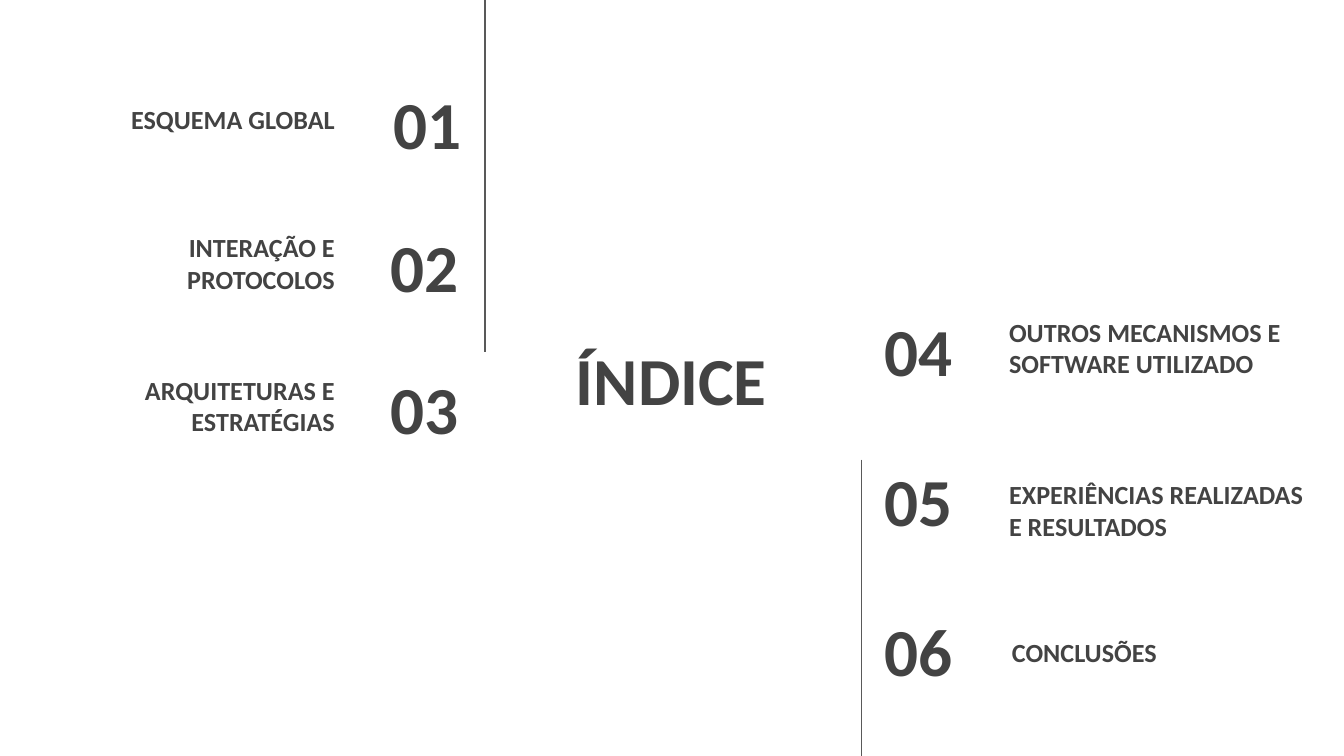
from lxml.etree import SubElement
from pptx import Presentation
from pptx.dml.color import RGBColor
from pptx.enum.shapes import MSO_CONNECTOR
from pptx.enum.text import MSO_ANCHOR, PP_ALIGN
from pptx.oxml.ns import qn
from pptx.util import Pt

WIDTH, HEIGHT = 720, 405


def color(hex_value):
    return RGBColor.from_string(hex_value)


class IndexSlide:
    text_color = "434343"
    line_color = "595959"
    font_format = {"name": "Calibri", "bold": True}
    margin = 7.2

    def __init__(self, presentation):
        self.slide = presentation.slides.add_slide(presentation.slide_layouts[6])
        fill = self.slide.background.fill
        fill.solid()
        fill.fore_color.rgb = color("FFFFFF")

    def text(self, content, box, size, align, anchor):
        shape = self.slide.shapes.add_textbox(*map(Pt, box))
        frame = shape.text_frame
        frame_format = {"word_wrap": True, "vertical_anchor": anchor}
        for side in ("left", "top", "right", "bottom"):
            frame_format[f"margin_{side}"] = Pt(self.margin)
        for name, value in frame_format.items():
            setattr(frame, name, value)
        paragraph = frame.paragraphs[0]
        paragraph.alignment = align
        run = paragraph.add_run()
        run.text = content
        for name, value in {**self.font_format, "size": Pt(size)}.items():
            setattr(run.font, name, value)
        run.font.color.rgb = color(self.text_color)

    def heading(self, content, box, align):
        self.text(content, box, 36, align, MSO_ANCHOR.MIDDLE)

    def label(self, content, box, align):
        self.text(content, box, 14, align, MSO_ANCHOR.BOTTOM)

    def vertical_line(self, x, top, bottom):
        connector = self.slide.shapes.add_connector(
            MSO_CONNECTOR.STRAIGHT, Pt(x), Pt(top), Pt(x), Pt(bottom))
        connector.line.width = Pt(0.75)
        connector.line.color.rgb = color(self.line_color)
        SubElement(connector._element.spPr, qn("a:effectLst"))


def main():
    presentation = Presentation()
    presentation.slide_width, presentation.slide_height = Pt(WIDTH), Pt(HEIGHT)
    index = IndexSlide(presentation)

    # Title and dividers
    index.heading("ÍNDICE", (266.4, 165.6, 186.5, 74.2), PP_ALIGN.CENTER)
    index.vertical_line(259.9, 0, 188.6)
    index.vertical_line(461.5, 246.2, HEIGHT)

    # Entries: label, label box, number left and top
    left_entries = [
        ("ESQUEMA GLOBAL", (31, 52.6, 155.5, 26.6), 167, 43.2),
        ("INTERAÇÃO E PROTOCOLOS", (31, 119.5, 155.5, 45.4), 165.6, 119.5),
        ("ARQUITETURAS E ESTRATÉGIAS", (31, 195.8, 155.5, 45.4), 165.6, 195.8),
    ]
    right_entries = [
        ("OUTROS MECANISMOS E SOFTWARE UTILIZADO", (533.5, 164.9, 175, 45.4), 466.6, 164.9),
        ("EXPERIÊNCIAS REALIZADAS E RESULTADOS", (533.5, 239, 173, 58.3), 466.6, 244.8),
        ("CONCLUSÕES", (535, 331.9, 155.5, 33.1), 466.6, 325.4),
    ]

    # Numbers run on from the left column to the right one
    number = 0
    for entries, number_width, align in (
        (left_entries, 87.1, PP_ALIGN.RIGHT),
        (right_entries, 84.2, PP_ALIGN.LEFT),
    ):
        for content, box, left, top in entries:
            number += 1
            index.heading(f"{number:02}", (left, top, number_width, 45.4), align)
            index.label(content, box, align)

    presentation.save("out.pptx")


if __name__ == "__main__":
    main()
